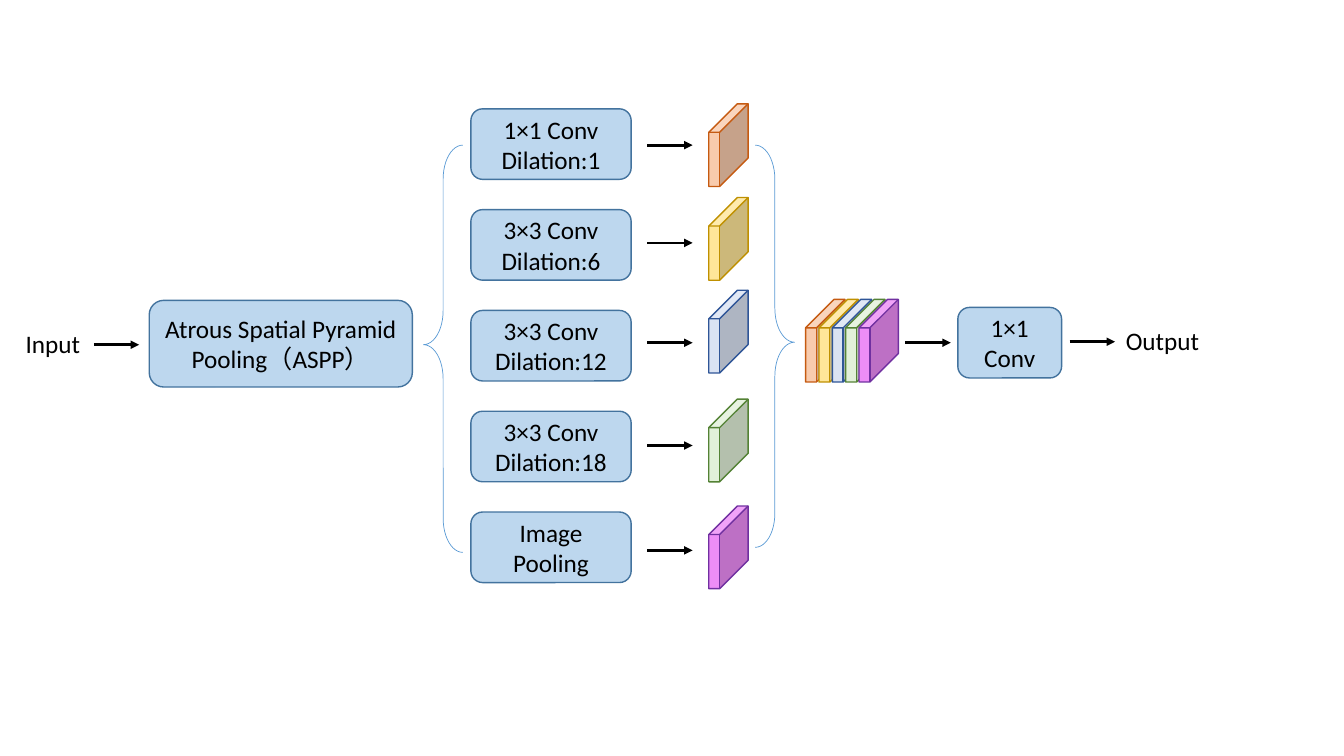
import dataclasses

import lxml.etree
import pptx
import pptx.dml.color
import pptx.enum.shapes
import pptx.enum.text
import pptx.oxml.ns
import pptx.util

Inches = pptx.util.Inches
RGBColor = pptx.dml.color.RGBColor
Preset = pptx.enum.shapes.MSO_SHAPE

BLACK = RGBColor(0x00, 0x00, 0x00)
BOX_FILL = RGBColor(0xBD, 0xD7, 0xEE)
BOX_LINE = RGBColor(0x43, 0x73, 0x9E)
BRACE_LINE = RGBColor(0x5B, 0x9B, 0xD5)
ORANGE = RGBColor(0xF8, 0xCB, 0xAD)
ORANGE_LINE = RGBColor(0xC5, 0x5A, 0x11)
YELLOW = RGBColor(0xFF, 0xE6, 0x99)
YELLOW_LINE = RGBColor(0xBF, 0x90, 0x00)
BLUE = RGBColor(0xDA, 0xE3, 0xF3)
BLUE_LINE = RGBColor(0x2F, 0x55, 0x97)
GREEN = RGBColor(0xE2, 0xF0, 0xD9)
GREEN_LINE = RGBColor(0x54, 0x82, 0x35)
PURPLE = RGBColor(0xED, 0x8D, 0xF7)
PURPLE_LINE = RGBColor(0x70, 0x30, 0xA0)

FONT = {"name": "Calibri", "size": pptx.util.Pt(18)}
BOX_FRAME = {
    "word_wrap": True,
    "vertical_anchor": pptx.enum.text.MSO_ANCHOR.MIDDLE,
}
LABEL_FRAME = {
    "word_wrap": False,
    "auto_size": pptx.enum.text.MSO_AUTO_SIZE.SHAPE_TO_FIT_TEXT,
}

BRANCH_TOP = 1.08
BRANCH_PITCH = 1.0
STACK_LEFT = 7.99
STACK_PITCH = 0.1325


@dataclasses.dataclass(frozen=True)
class Area:
    left: float
    top: float
    width: float
    height: float


@dataclasses.dataclass(frozen=True)
class Branch:
    lines: tuple[str, ...]
    cube_top: float
    arrow_y: float
    fill: RGBColor
    line: RGBColor


@dataclasses.dataclass(frozen=True)
class Brace:
    area: Area
    middle: float
    rotation: float


@dataclasses.dataclass(frozen=True)
class Arrow:
    left: float
    y: float


BRANCHES = (
    Branch(("1×1 Conv", "Dilation:1"), 1.03, 1.44, ORANGE, ORANGE_LINE),
    Branch(("3×3 Conv", "Dilation:6"), 1.96, 2.41, YELLOW, YELLOW_LINE),
    Branch(("3×3 Conv", "Dilation:12"), 2.88, 3.4, BLUE, BLUE_LINE),
    Branch(("3×3 Conv", "Dilation:18"), 3.96, 4.42, GREEN, GREEN_LINE),
    Branch(("Image Pooling",), 5.02, 5.46, PURPLE, PURPLE_LINE),
)
BRACES = (
    Brace(Area(4.2, 1.44, 0.39, 4.04), 0.49, 0),
    Brace(Area(7.49, 1.44, 0.39, 3.99), 0.51, 180),
)
FLOW_ARROWS = (Arrow(0.93, 3.42), Arrow(8.98, 3.4), Arrow(10.61, 3.39))
LABELS = (
    ("Input", Area(0.15, 3.21, 0.75, 0.4)),
    ("Output", Area(11.06, 3.18, 0.94, 0.4)),
)


def set_attributes(target: object, values: dict) -> None:
    for name, value in values.items():
        setattr(target, name, value)


def to_lengths(area: Area) -> tuple:
    return tuple(Inches(value) for value in dataclasses.astuple(area))


def write_text(shape, lines: tuple[str, ...], frame_values: dict) -> None:
    frame = shape.text_frame
    set_attributes(frame, frame_values)
    for index, line in enumerate(lines):
        para = frame.add_paragraph() if index else frame.paragraphs[0]
        para.alignment = pptx.enum.text.PP_ALIGN.CENTER
        span = para.add_run()
        span.text = line
        set_attributes(span.font, FONT)
        span.font.color.rgb = BLACK


def add_preset(page, preset, area: Area, line: RGBColor, fill: RGBColor | None = None,
               weight: float = 1):
    shape = page.shapes.add_shape(preset, *to_lengths(area))
    shape.shadow.inherit = False
    if fill is None:
        shape.fill.background()
    else:
        shape.fill.solid()
        shape.fill.fore_color.rgb = fill
    shape.line.color.rgb = line
    shape.line.width = pptx.util.Pt(weight)
    return shape


def add_box(page, area: Area, lines: tuple[str, ...]) -> None:
    box = add_preset(page, Preset.ROUNDED_RECTANGLE, area, BOX_LINE, BOX_FILL)
    write_text(box, lines, BOX_FRAME)


def add_cube(page, left: float, top: float, branch: Branch) -> None:
    area = Area(left, top, 0.39, 0.82)
    cube = add_preset(page, Preset.CUBE, area, branch.line, branch.fill)
    cube.adjustments[0] = 0.724


def add_brace(page, brace: Brace) -> None:
    shape = add_preset(page, Preset.LEFT_BRACE, brace.area, BRACE_LINE, weight=0.5)
    shape.adjustments[0] = 0.865
    shape.adjustments[1] = brace.middle
    shape.rotation = brace.rotation


def add_arrow(page, arrow: Arrow) -> None:
    y = Inches(arrow.y)
    connector = page.shapes.add_connector(
        pptx.enum.shapes.MSO_CONNECTOR.STRAIGHT,
        Inches(arrow.left), y, Inches(arrow.left + 0.45), y)
    connector.line.color.rgb = BLACK
    connector.line.width = pptx.util.Pt(2)
    qualify = pptx.oxml.ns.qn
    properties = connector._element.spPr
    outline = properties.find(qualify("a:ln"))
    lxml.etree.SubElement(outline, qualify("a:tailEnd"), type="triangle")
    lxml.etree.SubElement(properties, qualify("a:effectLst"))


def add_label(page, text: str, area: Area) -> None:
    label = page.shapes.add_textbox(*to_lengths(area))
    write_text(label, (text,), LABEL_FRAME)


def main() -> None:
    deck = pptx.Presentation()
    deck.slide_width = Inches(13.33)
    deck.slide_height = Inches(7.5)
    page = deck.slides.add_slide(deck.slide_layouts.get_by_name("Blank"))

    add_box(page, Area(1.48, 2.98, 2.61, 0.86), ("Atrous Spatial Pyramid Pooling（ASPP）",))
    for brace in BRACES:
        add_brace(page, brace)
    for index, branch in enumerate(BRANCHES):
        box_top = BRANCH_TOP + index * BRANCH_PITCH
        add_box(page, Area(4.67, box_top, 1.59, 0.7), branch.lines)
        add_arrow(page, Arrow(6.42, branch.arrow_y))
        add_cube(page, 7.03, branch.cube_top, branch)
        add_cube(page, STACK_LEFT + index * STACK_PITCH, 2.97, branch)
    add_box(page, Area(9.5, 3.05, 1.03, 0.7), ("1×1 Conv",))
    for arrow in FLOW_ARROWS:
        add_arrow(page, arrow)
    for text, area in LABELS:
        add_label(page, text, area)

    deck.save("out.pptx")


main()
